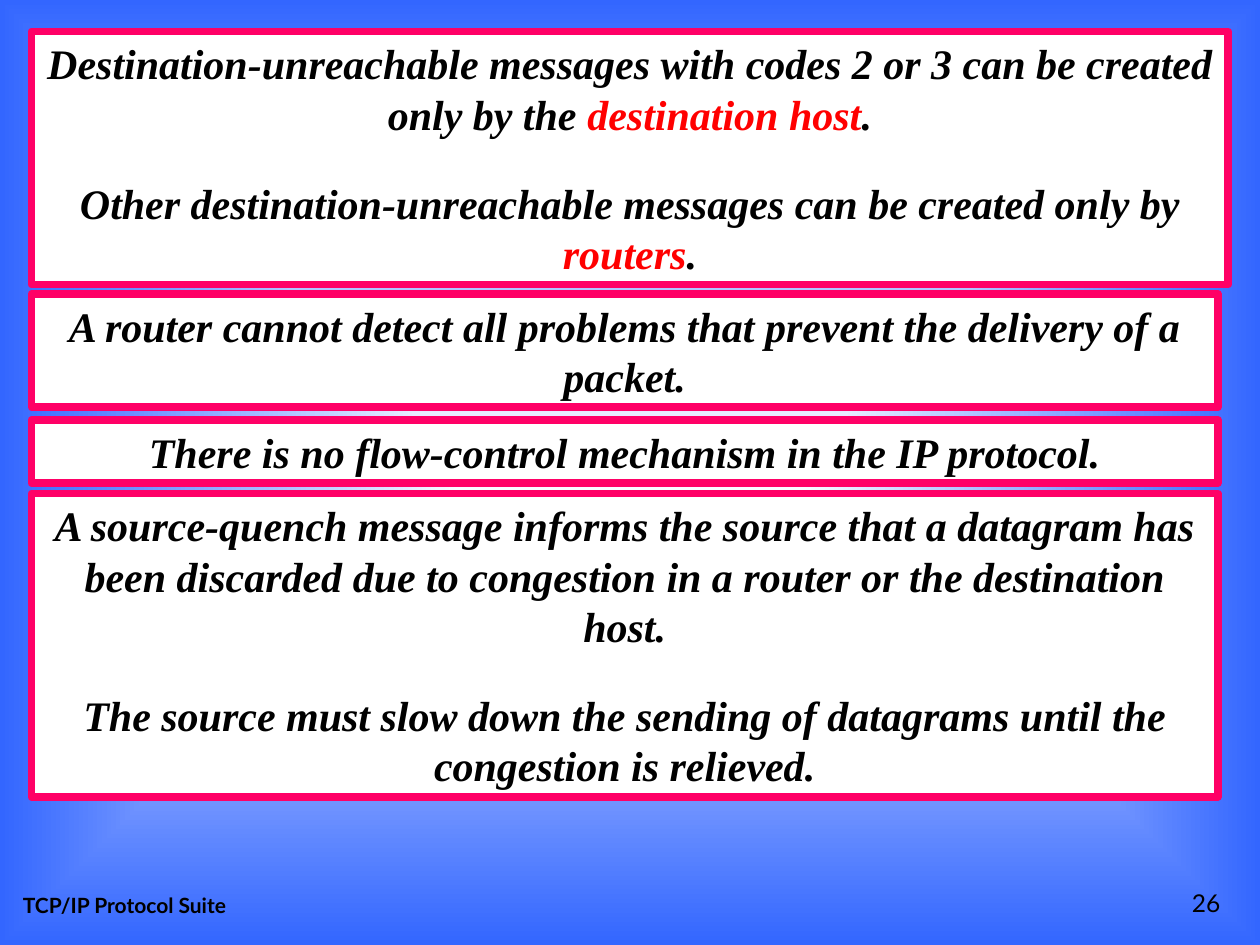
from pptx import Presentation
from pptx.dml.color import RGBColor
from pptx.enum.shapes import MSO_SHAPE
from pptx.enum.text import MSO_ANCHOR, MSO_AUTO_SIZE, PP_ALIGN
from pptx.oxml import parse_xml
from pptx.oxml.ns import nsdecls, qn
from pptx.util import Inches, Pt

RECTANGLE = MSO_SHAPE.RECTANGLE
TOP, BOTTOM = MSO_ANCHOR.TOP, MSO_ANCHOR.BOTTOM
LEFT, CENTER, RIGHT = PP_ALIGN.LEFT, PP_ALIGN.CENTER, PP_ALIGN.RIGHT
GROW = MSO_AUTO_SIZE.SHAPE_TO_FIT_TEXT

COLUMNS, ROWS = 120, 90
BLACK, WHITE, RED, PINK, BLUE = "000000", "FFFFFF", "FF0000", "FF0066", "3366FF"

# Each note: top row, columns wide, rows high, paragraphs of (text, colour) spans
NOTES = [
    (3, 114, 24.1, [
        [("Destination-unreachable messages with codes 2 or 3 can be created only by the ", BLACK),
         ("destination host", RED), (".", BLACK)],
        [("Other destination-unreachable messages can be created only by ", BLACK),
         ("routers", RED), (".", BLACK)],
    ]),
    (28, 113, 10.8, [
        [("A router cannot detect all problems that prevent the delivery of a packet.", BLACK)],
    ]),
    (40, 113, 6, [
        [("There is no flow-control mechanism in the IP protocol.", BLACK)],
    ]),
    (47, 113, 28.9, [
        [("A source-quench message informs the source that a datagram has been discarded "
          "due to congestion in a router or the destination host.", BLACK)],
        [("The source must slow down the sending of datagrams until the "
          "congestion is relieved.", BLACK)],
    ]),
]


def rgb(value):
    return RGBColor.from_string(value)


def add_span(para, text, font="Lato", size=12, color=BLACK, bold=False, italic=False):
    span = para.add_run()
    span.text = text
    span.font.name = font
    span.font.size = Pt(size)
    span.font.color.rgb = rgb(color)
    span.font.bold = bold
    span.font.italic = italic


class SlideBuilder:
    """Places elements on a page by grid columns and rows."""

    def __init__(self, deck):
        self.page = deck.slides.add_slide(deck.slide_layouts[6])
        self.column = deck.slide_width / COLUMNS
        self.row = deck.slide_height / ROWS

    def area(self, left, top, width, height):
        return (round(left * self.column), round(top * self.row),
                round(width * self.column), round(height * self.row))

    def background(self, center, edge):
        """Fill the page with a gradient that spreads from its centre."""
        fill = self.page.background.fill
        fill.gradient()
        for stop, color, position in zip(fill.gradient_stops, (center, edge), (0, 1)):
            stop.color.rgb = rgb(color)
            stop.position = position
        gradient = self.page.element.find(".//" + qn("a:gradFill"))
        gradient.replace(gradient.find(qn("a:lin")), parse_xml(
            f'<a:path {nsdecls("a")} path="rect">'
            '<a:fillToRect l="50000" t="50000" r="50000" b="50000"/></a:path>'))

    def footer(self, text, left, width, align, **style):
        frame = self.page.shapes.add_textbox(*self.area(left, 82, width, 6)).text_frame
        frame.word_wrap = True
        frame.vertical_anchor = BOTTOM
        para = frame.paragraphs[0]
        para.alignment = align
        add_span(para, text, **style)

    def note(self, top, width, height, paragraphs):
        box = self.page.shapes.add_shape(RECTANGLE, *self.area(3, top, width, height))
        box.shadow.inherit = False
        box.fill.solid()
        box.fill.fore_color.rgb = rgb(WHITE)
        box.line.color.rgb = rgb(PINK)
        box.line.width = Pt(4.5)
        frame = box.text_frame
        frame.word_wrap = True
        frame.auto_size = GROW
        frame.vertical_anchor = TOP
        for index, spans in enumerate(paragraphs):
            para = frame.add_paragraph() if index else frame.paragraphs[0]
            para.alignment = CENTER
            para.space_before = Pt(12 if index else 0)
            para.space_after = Pt(10)
            for text, color in spans:
                add_span(para, text, font="Times New Roman", size=24,
                         color=color, bold=True, italic=True)


def main():
    deck = Presentation()
    deck.slide_width, deck.slide_height = Inches(10), Inches(7.5)
    slide = SlideBuilder(deck)
    slide.background(WHITE, BLUE)
    slide.footer("TCP/IP Protocol Suite", 1, 38, LEFT, bold=True)
    slide.footer("26", 92.4, 25, RIGHT, size=14)
    for note in NOTES:
        slide.note(*note)
    deck.save("out.pptx")


if __name__ == "__main__":
    main()
